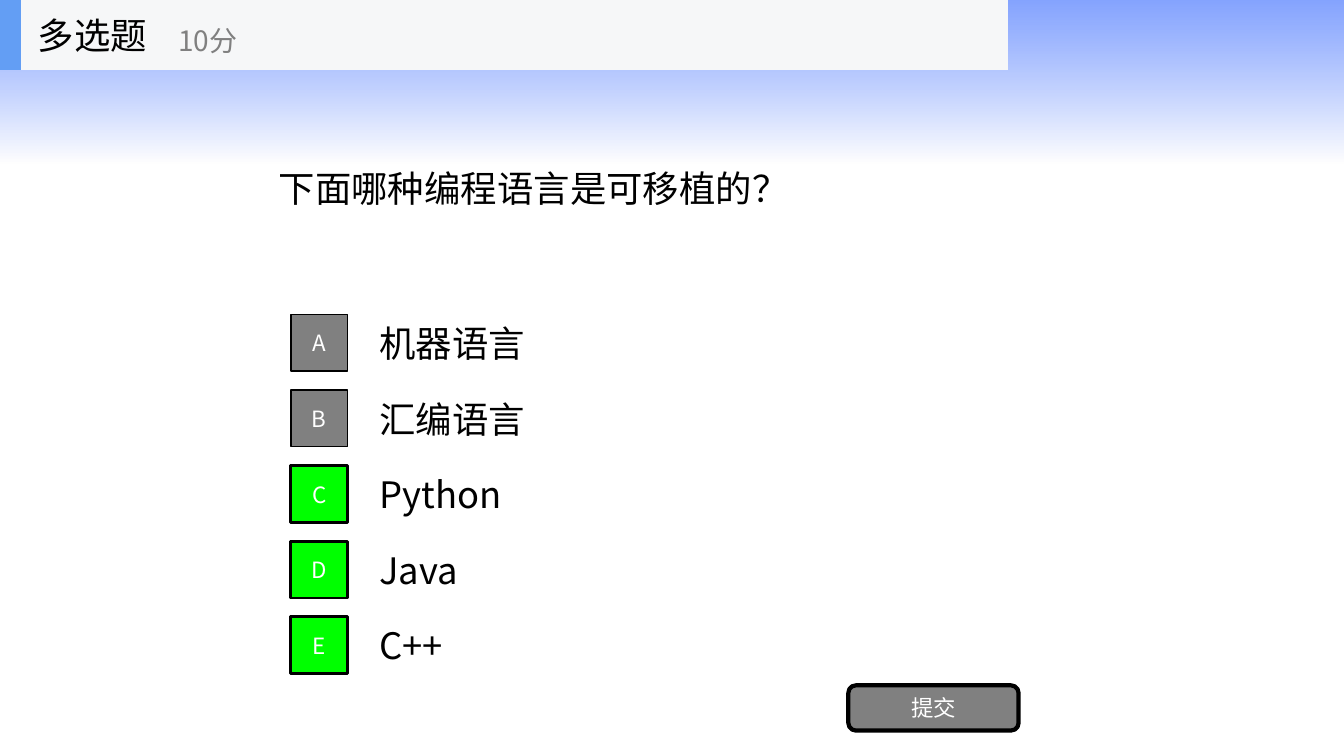
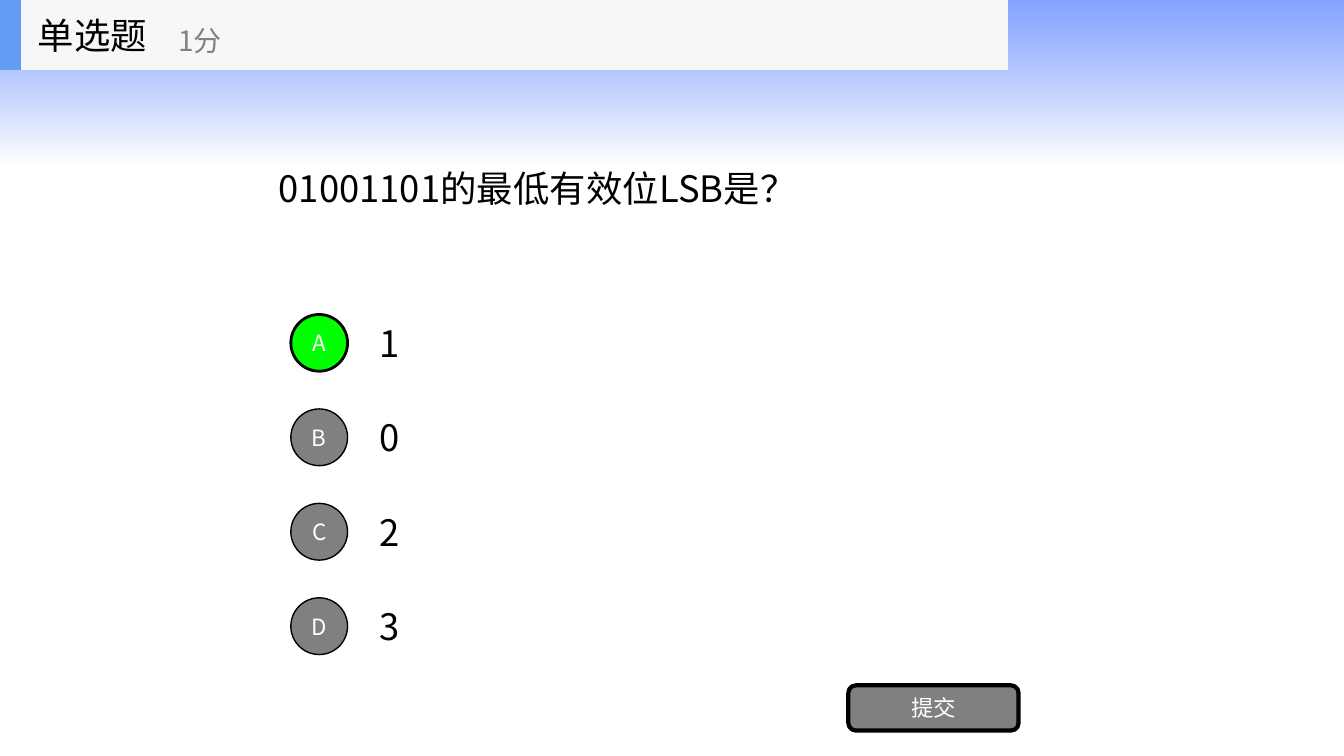
from pptx import Presentation
from pptx.dml.color import RGBColor
from pptx.enum.lang import MSO_LANGUAGE_ID as Language
from pptx.enum.shapes import MSO_SHAPE as Shape
from pptx.enum.text import MSO_ANCHOR as Anchor, MSO_AUTO_SIZE as AutoSize, PP_ALIGN as Align
from pptx.oxml.ns import qn
from pptx.util import Cm, Pt
from lxml.etree import SubElement

FONT = "Noto Sans CJK SC"
BLACK, WHITE, GRAY, GREEN = "000000", "FFFFFF", "808080", "00FF00"
HEADER_FILL, STRIPE_FILL, BAND_BLUE = "F6F7F8", "639EF4", "3366FF"
SLIDE_WIDTH, SLIDE_HEIGHT = 33.87, 19.05
BAND_HEIGHT, HEADER_HEIGHT = 4.11, 1.76
OPTION_TOP, OPTION_HEIGHT, BADGE_SIZE = 7.75, 1.78, 1.43

QUESTIONS = [
    {"kind": "多选题", "score": "10分", "question": "下面哪种编程语言是可移植的？",
     "options": ["机器语言", "汇编语言", "Python", "Java", "C++"],
     "correct": "CDE", "badge": Shape.RECTANGLE, "span": 7.62},
    {"kind": "单选题", "score": "1分", "question": "01001101的最低有效位LSB是？",
     "options": ["1", "0", "2", "3"],
     "correct": "A", "badge": Shape.OVAL, "span": 7.14},
]


def color(hex_value):
    return RGBColor.from_string(hex_value)


def set_format(target, values):
    for name, value in values.items():
        setattr(target, name, value)


def write(shape, text, size, hex_value, align=Align.LEFT, inset=None):
    frame = shape.text_frame
    set_format(frame, {"word_wrap": True, "auto_size": AutoSize.NONE,
                       "vertical_anchor": Anchor.MIDDLE})
    if inset is not None:
        set_format(frame, {"margin_left": inset, "margin_right": inset,
                           "margin_top": inset, "margin_bottom": inset})
    paragraph = frame.paragraphs[0]
    paragraph.alignment = align
    run = paragraph.add_run()
    run.text = text
    set_format(run.font, {"name": FONT, "size": Pt(size),
                          "language_id": Language.SIMPLIFIED_CHINESE})
    run.font.color.rgb = color(hex_value)
    # East Asian characters take their typeface from a:ea
    east_asian = SubElement(run.font._element, qn("a:ea"), typeface=FONT)
    run.font._element.find(qn("a:latin")).addnext(east_asian)


def add_text(shapes, box, text, size, hex_value):
    write(shapes.add_textbox(*map(Cm, box)), text, size, hex_value)


def add_block(shapes, kind, box, fill, line_width=0):
    """Add a filled shape, outlined in black when a line width is given."""
    shape = shapes.add_shape(kind, *map(Cm, box))
    shape.shadow.inherit = False
    shape.fill.solid()
    shape.fill.fore_color.rgb = color(fill)
    if line_width:
        shape.line.color.rgb = color(BLACK)
        shape.line.width = Pt(line_width)
    else:
        shape.line.fill.background()
    return shape


def add_button(shapes, kind, box, fill, line_width, label):
    button = add_block(shapes, kind, box, fill, line_width)
    write(button, label, 16, WHITE, Align.CENTER, inset=0)


def add_top_band(slide):
    """Add the fading band behind everything else on the slide."""
    band = add_block(slide.shapes, Shape.RECTANGLE, (0, 0, SLIDE_WIDTH, BAND_HEIGHT), WHITE)
    band.fill.gradient()
    band.fill.gradient_angle = 270
    for stop, hex_value in zip(band.fill.gradient_stops, (BAND_BLUE, WHITE)):
        stop.color.rgb = color(hex_value)
    stop_colors = band.element.spPr.find(qn("a:gradFill")).iter(qn("a:srgbClr"))
    for stop_color, percent in zip(list(stop_colors), (60, 70)):
        SubElement(stop_color, qn("a:alpha"), val=str(percent * 1000))
    slide.shapes.element.insert(2, band.element)


def add_header(slide, kind, score):
    shapes = slide.shapes.add_group_shape().shapes
    add_block(shapes, Shape.RECTANGLE, (0, 0, 25.4, HEADER_HEIGHT), HEADER_FILL)
    add_block(shapes, Shape.RECTANGLE, (0, 0, 0.53, HEADER_HEIGHT), STRIPE_FILL)
    add_text(shapes, (0.7, 0, 5.28, HEADER_HEIGHT), kind, 26, BLACK)
    add_text(shapes, (4.24, 0.3, 6.35, 1.42), score, 20, GRAY)


def add_question(slide, text):
    title = slide.shapes.title
    set_format(title, {"left": Cm(6.77), "top": Cm(HEADER_HEIGHT),
                       "width": Cm(20.32), "height": Cm(5.96)})
    write(title, text, 26, BLACK)


def add_options(slide, options, correct, badge, span):
    """Spread the options evenly, the last one starting span below the first."""
    pitch = span / (len(options) - 1)
    for index, option in enumerate(options):
        letter = "ABCDE"[index]
        top = OPTION_TOP + index * pitch
        badge_top = top + (OPTION_HEIGHT - BADGE_SIZE) / 2
        fill, line_width = (GREEN, 2) if letter in correct else (GRAY, 1)
        add_text(slide.shapes, (9.31, top, 17.78, OPTION_HEIGHT), option, 26, BLACK)
        add_button(slide.shapes, badge, (7.33, badge_top, BADGE_SIZE, BADGE_SIZE),
                   fill, line_width, letter)


def main():
    presentation = Presentation()
    set_format(presentation, {"slide_width": Cm(SLIDE_WIDTH), "slide_height": Cm(SLIDE_HEIGHT)})
    layout = presentation.slide_layouts.get_by_name("Title Only")
    for item in QUESTIONS:
        slide = presentation.slides.add_slide(layout)
        add_top_band(slide)
        add_question(slide, item["question"])
        add_options(slide, item["options"], item["correct"], item["badge"], item["span"])
        add_button(slide.shapes, Shape.ROUNDED_RECTANGLE, (21.38, 17.27, 4.29, 1.14),
                   GRAY, 3, "提交")
        add_header(slide, item["kind"], item["score"])
    presentation.save("out.pptx")


if __name__ == "__main__":
    main()
